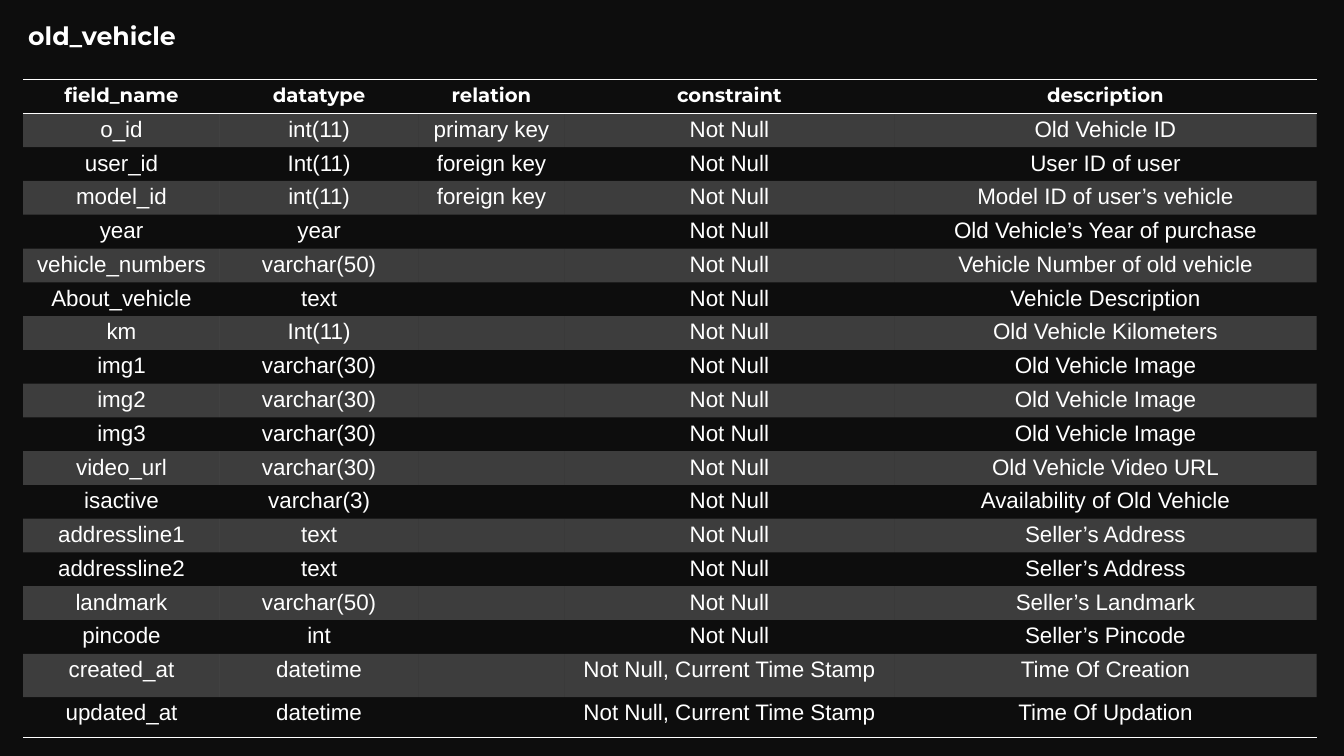
from lxml import etree
from pptx import Presentation
from pptx import util as u
from pptx.dml import color
from pptx.enum import text
from pptx.oxml import ns

WHITE = color.RGBColor(0xFF, 0xFF, 0xFF)
BLACK = color.RGBColor(0x0D, 0x0D, 0x0D)
PLAIN = "{2D5ABB26-0587-4C30-8999-92F81FD0307C}"


def write(frame, words, size=16, font="Arial", bold=False,
          align=text.PP_ALIGN.CENTER, space=1.15, after=10):
    para = frame.paragraphs[0]
    para.alignment = align
    para.line_spacing = space
    para.space_before = u.Pt(0)
    para.space_after = u.Pt(after)
    run = para.add_run()
    run.text = words
    run.font.size = u.Pt(size)
    run.font.name = font
    run.font.bold = bold
    run.font.color.rgb = WHITE


def rule(cell, side):
    line = etree.SubElement(cell._tc.get_or_add_tcPr(), ns.qn("a:" + side), w="12700")
    fill = etree.SubElement(line, ns.qn("a:solidFill"))
    etree.SubElement(fill, ns.qn("a:srgbClr"), val=str(WHITE))


heads = ["field_name", "datatype", "relation", "constraint", "description"]
null = "Not Null"
stamp = "Not Null, Current Time Stamp"
fields = [
    ("o_id", "int(11)", "primary key", null, "Old Vehicle ID"),
    ("user_id", "Int(11)", "foreign key", null, "User ID of user"),
    ("model_id", "int(11)", "foreign key", null, "Model ID of user’s vehicle"),
    ("year", "year", "", null, "Old Vehicle’s Year of purchase"),
    ("vehicle_numbers", "varchar(50)", "", null, "Vehicle Number of old vehicle"),
    ("About_vehicle", "text", "", null, "Vehicle Description"),
    ("km", "Int(11)", "", null, "Old Vehicle Kilometers"),
    ("img1", "varchar(30)", "", null, "Old Vehicle Image"),
    ("img2", "varchar(30)", "", null, "Old Vehicle Image"),
    ("img3", "varchar(30)", "", null, "Old Vehicle Image"),
    ("video_url", "varchar(30)", "", null, "Old Vehicle Video URL"),
    ("isactive", "varchar(3)", "", null, "Availability of Old Vehicle"),
    ("addressline1", "text", "", null, "Seller’s Address"),
    ("addressline2", "text", "", null, "Seller’s Address"),
    ("landmark", "varchar(50)", "", null, "Seller’s Landmark"),
    ("pincode", "int", "", null, "Seller’s Pincode"),
    ("created_at", "datetime", "", stamp, "Time Of Creation"),
    ("updated_at", "datetime", "", stamp, "Time Of Updation"),
]
rows = [heads] + fields
last = len(rows) - 1
widths = [1.95, 1.97, 1.45, 3.27, 4.19]
highs = [6.53 - 0.83] * 17
highs = [h / len(highs) for h in highs] + [0.43, 0.4]

deck = Presentation()
deck.slide_width = u.Inches(13.33)
deck.slide_height = u.Inches(7.5)
slide = deck.slides.add_slide(deck.slide_layouts[5])
slide.background.fill.solid()
slide.background.fill.fore_color.rgb = BLACK

title = slide.shapes.title
title.left, title.top = u.Inches(0.18), u.Inches(0.13)
title.width, title.height = u.Inches(4), u.Inches(0.44)
title.text_frame.vertical_anchor = text.MSO_ANCHOR.MIDDLE
write(title.text_frame, "old_vehicle", size=18, font="Montserrat", bold=True,
      align=text.PP_ALIGN.LEFT, space=1.0, after=0)

frame = slide.shapes.add_table(len(rows), len(heads), u.Inches(0.23), u.Inches(0.79),
                               u.Inches(sum(widths)), u.Inches(sum(highs)))
table = frame.table
table.horz_banding = False
table._tbl.tblPr.find(ns.qn("a:tableStyleId")).text = PLAIN
for col, width in zip(table.columns, widths):
    col.width = u.Inches(width)
for row, high in zip(table.rows, highs):
    row.height = u.Inches(high)

for i, row in enumerate(rows):
    for j, words in enumerate(row):
        cell = table.cell(i, j)
        cell.margin_left = cell.margin_right = u.Inches(0.12)
        cell.margin_top = cell.margin_bottom = 0
        if i == 0:
            rule(cell, "lnT")
        if i in (0, last):
            rule(cell, "lnB")
        if i % 2:
            cell.fill.solid()
            cell.fill.fore_color.rgb = WHITE
            tint = cell._tc.tcPr.find(ns.qn("a:solidFill"))[0]
            etree.SubElement(tint, ns.qn("a:alpha"), val="20000")
        else:
            cell.fill.background()
        if i == 0:
            write(cell.text_frame, words, size=14, font="Montserrat", bold=True)
        elif words:
            write(cell.text_frame, words)

deck.save("out.pptx")
